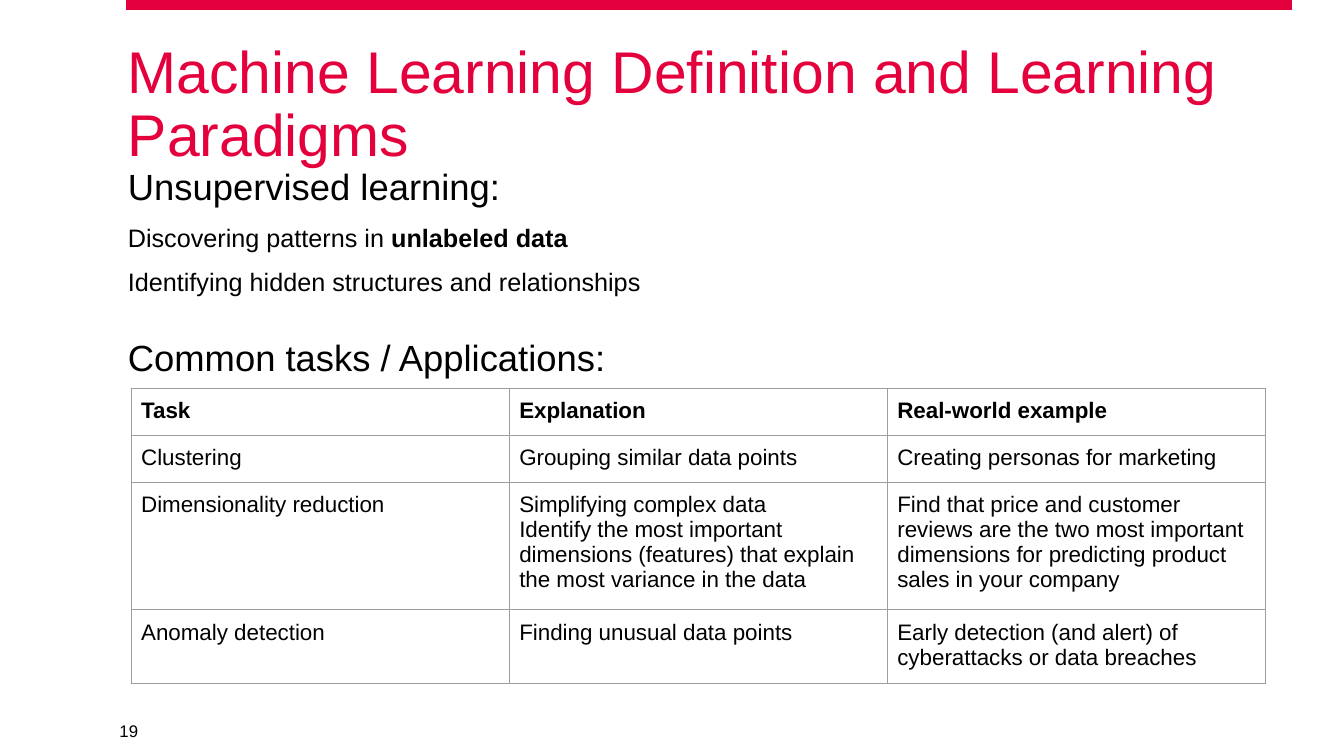
from dataclasses import dataclass

from lxml import etree
from pptx import Presentation
from pptx import util as u
from pptx.dml.color import RGBColor
from pptx.enum import shapes, text
from pptx.oxml import ns


@dataclass(frozen=True)
class Theme:
    font: str = "Arial"
    red: str = "E4003C"
    ink: str = "000000"
    grid: str = "9E9E9E"
    title: int = 42
    head: int = 26
    body: int = 18
    cell: int = 16
    foot: int = 12
    rule: float = 7.5
    edge: float = 0.75


class Deck:
    """Draws styled elements on the current slide."""

    def __init__(self, theme):
        self.theme = theme
        self.prs = Presentation()
        self.prs.slide_width = u.Inches(13.33)
        self.prs.slide_height = u.Inches(7.5)
        self.slide = self.prs.slides.add_slide(self.prs.slide_layouts[6])

    def run(self, para, words, size, color=None, bold=False):
        run = para.add_run()
        run.text = words
        run.font.name = self.theme.font
        run.font.size = u.Pt(size)
        run.font.bold = bold
        run.font.color.rgb = RGBColor.from_string(color or self.theme.ink)

    def box(self, left, top, width, height, inset=(0.1, 0.05, 0.1, 0.05)):
        shape = self.slide.shapes.add_textbox(*map(u.Inches, (left, top, width, height)))
        frame = shape.text_frame
        frame.word_wrap = True
        frame.margin_left, frame.margin_top, frame.margin_right, frame.margin_bottom = map(u.Inches, inset)
        return frame

    def rule(self, left, right, y):
        line = self.slide.shapes.add_connector(
            shapes.MSO_CONNECTOR.STRAIGHT, *map(u.Inches, (left, y, right, y)))
        line.line.color.rgb = RGBColor.from_string(self.theme.red)
        line.line.width = u.Pt(self.theme.rule)
        etree.SubElement(line._element.spPr, ns.qn("a:effectLst"))

    def title(self, words):
        para = self.box(1.17, 0.32, 11.5, 0.82, (0.1, 0.1, 0.1, 0.05)).paragraphs[0]
        para.line_spacing = 0.9
        self.run(para, words, self.theme.title, self.theme.red)

    def body(self, lines):
        frame = self.box(1.17, 1.58, 11.5, 4.76)
        for i, (size, gap, runs) in enumerate(lines):
            para = frame.add_paragraph() if i else frame.paragraphs[0]
            para.space_before = u.Pt(gap)
            for words, bold in runs:
                self.run(para, words, size, bold=bold)

    def number(self, words):
        frame = self.box(1, 7.05, 0.41, 0.4, (0.04,) * 4)
        frame.vertical_anchor = text.MSO_ANCHOR.MIDDLE
        para = frame.paragraphs[0]
        para.alignment = text.PP_ALIGN.RIGHT
        self.run(para, words, self.theme.foot)

    def border(self, cell):
        props = cell._tc.get_or_add_tcPr()
        for side in ("lnL", "lnR", "lnT", "lnB"):
            line = etree.SubElement(props, ns.qn("a:" + side), w=str(u.Pt(self.theme.edge)))
            fill = etree.SubElement(line, ns.qn("a:solidFill"))
            etree.SubElement(fill, ns.qn("a:srgbClr"), val=self.theme.grid)

    def cell(self, cell, words, bold):
        cell.margin_left = cell.margin_right = u.Inches(0.1)
        cell.margin_top = cell.margin_bottom = u.Inches(0.1)
        self.border(cell)
        cell.fill.background()
        frame = cell.text_frame
        for i, line in enumerate(words.split("\n")):
            para = frame.add_paragraph() if i else frame.paragraphs[0]
            self.run(para, line, self.theme.cell, bold=bold)

    def table(self, left, top, width, heights, rows):
        count = len(rows[0])
        table = self.slide.shapes.add_table(
            len(rows), count, *map(u.Inches, (left, top, width * count, sum(heights)))).table
        table.horz_banding = False
        for col in table.columns:
            col.width = u.Inches(width)
        for r, (height, row) in enumerate(zip(heights, rows)):
            table.rows[r].height = u.Inches(height)
            for c, words in enumerate(row):
                self.cell(table.cell(r, c), words, bold=r == 0)


TASKS = [
    ("Task", "Explanation", "Real-world example"),
    ("Clustering", "Grouping similar data points", "Creating personas for marketing"),
    ("Dimensionality reduction",
     "Simplifying complex data\nIdentify the most important dimensions (features) "
     "that explain the most variance in the data",
     "Find that price and customer reviews are the two most important dimensions "
     "for predicting product sales in your company"),
    ("Anomaly detection", "Finding unusual data points",
     "Early detection (and alert) of cyberattacks or data breaches"),
]


def main():
    theme = Theme()
    deck = Deck(theme)
    deck.rule(1.25, 12.81, 0.05)
    deck.body([
        (theme.head, 0, [("Unsupervised learning:", False)]),
        (theme.body, 10, [("Discovering patterns in ", False), ("unlabeled data", True)]),
        (theme.body, 10, [("Identifying hidden structures and relationships", False)]),
        (theme.head, 28, [("Common tasks / Applications:", False)]),
    ])
    deck.title("Machine Learning Definition and Learning Paradigms")
    deck.number("19")
    deck.table(1.3, 3.85, 3.75, (0.44, 0.44, 1.18, 0.69), TASKS)
    deck.prs.save("out.pptx")


if __name__ == "__main__":
    main()
